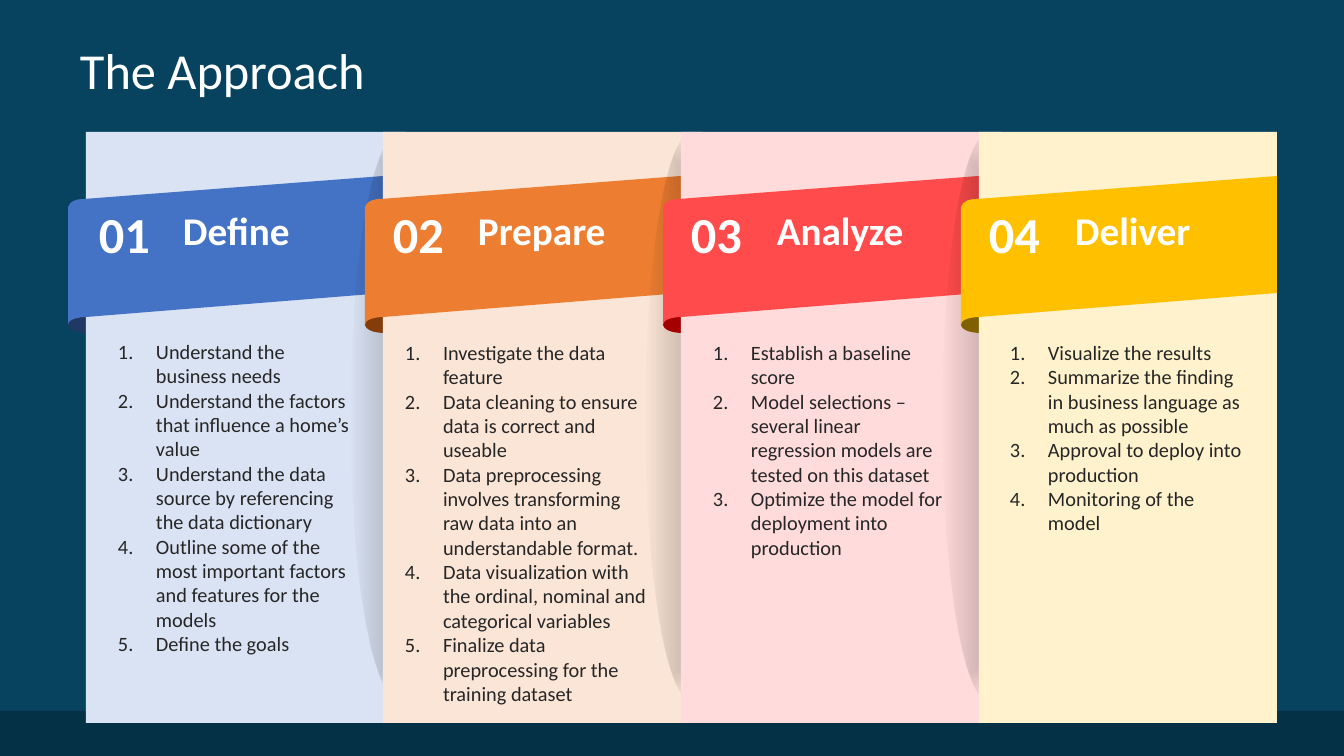
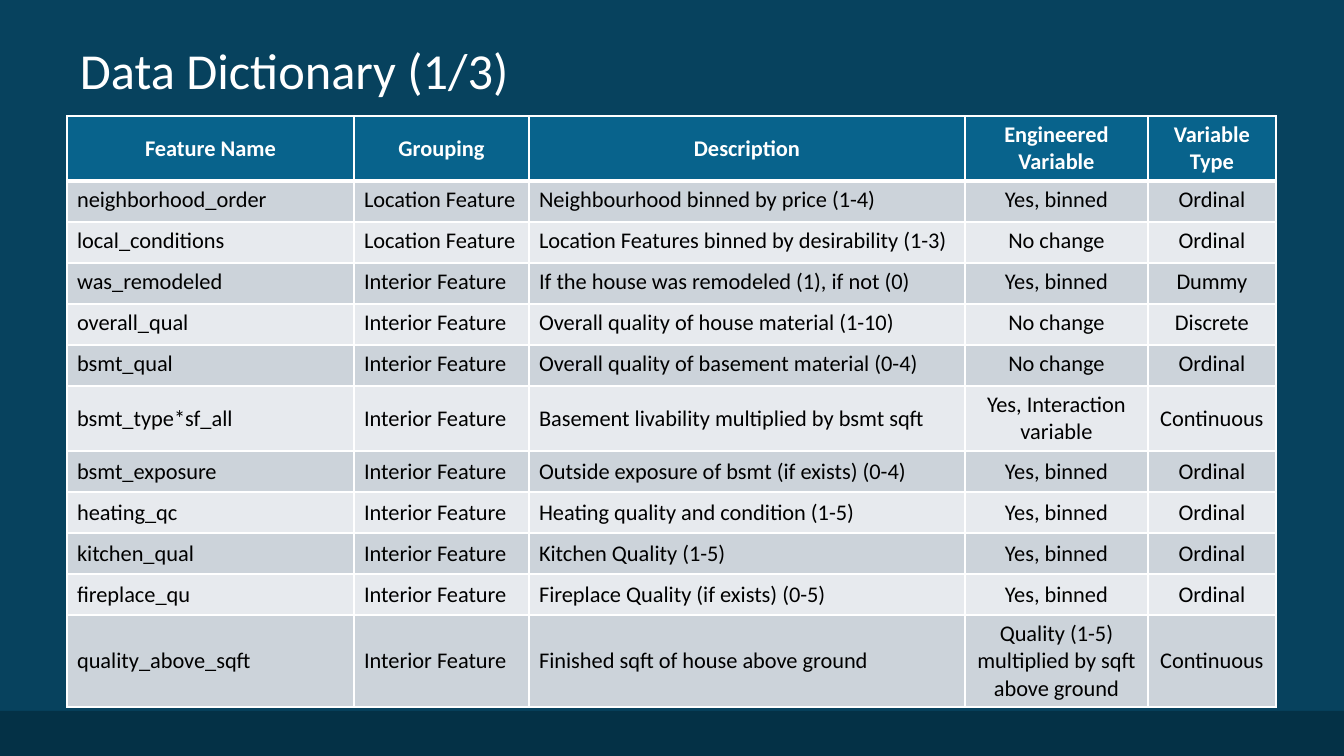
from itertools import islice

from pptx import Presentation
from pptx import oxml
from pptx import util as u
from pptx.dml.color import RGBColor
from pptx.enum import shapes, text
from pptx.oxml import ns

PX = 9072  # EMU in one px
FONT = "Calibri"
COLORS = {
    "background": "07425E", "band": "043146", "white": "FFFFFF", "body": "262626",
    "header": "08638C", "odd row": "CCD3DA", "even row": "E7EAEE", "cell text": "000000",
}


def paint(shape, color):
    shape.shadow.inherit = False
    shape.fill.solid()
    shape.fill.fore_color.rgb = RGBColor.from_string(color)
    shape.line.fill.background()


def add_text(slide, box, content, size, color="white", bold=False,
             align=text.PP_ALIGN.LEFT, margins=(0, 0)):
    text_frame = slide.shapes.add_textbox(*(n * PX for n in box)).text_frame
    text_frame.word_wrap = True
    text_frame.margin_left = text_frame.margin_right = margins[0] * PX
    text_frame.margin_top = text_frame.margin_bottom = margins[1] * PX
    text_frame.text = content
    for paragraph in text_frame.paragraphs:
        paragraph.alignment = align
        font = paragraph.runs[0].font
        font.name, font.size, font.bold = FONT, u.Pt(size), bold
        font.color.rgb = RGBColor.from_string(COLORS[color])
    return text_frame


presentation = Presentation()
presentation.slide_width = 1344 * PX
presentation.slide_height = 756 * PX

# Shared background, bottom band and title
slides = []
for title in ("The Approach", "Data Dictionary (1/3)"):
    slide = presentation.slides.add_slide(presentation.slide_layouts[6])
    slide.background.fill.solid()
    slide.background.fill.fore_color.rgb = RGBColor.from_string(COLORS["background"])
    band = slide.shapes.add_shape(shapes.MSO_SHAPE.RECTANGLE, 0, 711 * PX, 1344 * PX, 45 * PX)
    paint(band, COLORS["band"])
    title_frame = add_text(slide, (67, 30, 1210, 79), title, 36, margins=(13, 7))
    title_frame.vertical_anchor = text.MSO_ANCHOR.MIDDLE
    slides.append(slide)
approach_slide, dictionary_slide = slides

# Slide 1: four cards, each with a folded ribbon
# heading, card, ribbon and fold colours, lefts of number, heading and list, list width, steps
STAGES = [
    ("Define", "DAE3F3", "4472C4", "203864", 81, 183, 118, 232, [
        "Understand the business needs",
        "Understand the factors that influence a home’s value",
        "Understand the data source by referencing the data dictionary",
        "Outline some of the most important factors and features for the models",
        "Define the goals",
    ]),
    ("Prepare", "FBE5D6", "ED7D31", "843C0B", 375, 478, 405, 249, [
        "Investigate the data feature",
        "Data cleaning to ensure data is correct and useable",
        "Data preprocessing involves transforming raw data into an understandable format.",
        "Data visualization with the ordinal, nominal and categorical variables",
        "Finalize data preprocessing for the training dataset",
    ]),
    ("Analyze", "FFDBDB", "FF4B4B", "A50000", 673, 777, 713, 232, [
        "Establish a baseline score",
        "Model selections – several linear regression models are tested on this dataset",
        "Optimize the model for deployment into production",
    ]),
    ("Deliver", "FFF2CC", "FFC000", "806000", 971, 1075, 1010, 232, [
        "Visualize the results",
        "Summarize the finding in business language as much as possible",
        "Approval to deploy into production",
        "Monitoring of the model",
    ]),
]
SHADOW_FILL = (
    f'<a:gradFill {ns.nsdecls("a")} rotWithShape="1"><a:gsLst>'
    '<a:gs pos="0"><a:srgbClr val="000000"><a:alpha val="22000"/></a:srgbClr></a:gs>'
    '<a:gs pos="100000"><a:srgbClr val="000000"><a:alpha val="0"/></a:srgbClr></a:gs>'
    '</a:gsLst><a:path path="shape">'
    '<a:fillToRect l="50000" t="50000" r="50000" b="50000"/></a:path></a:gradFill>'
)

for index, stage in enumerate(STAGES):
    (heading, card_color, ribbon_color, fold_color,
     number_left, heading_left, list_left, list_width, steps) = stage
    is_last = index == len(STAGES) - 1
    card_left = 86 + 893 * index // 3
    ribbon_left = card_left - 18
    card_width, ribbon_width, ribbon_top = (298, 316, 176) if is_last else (320, 341, 174)

    # Outlines: a start, then corners (one point) and Bézier curves (three points)
    fold_pieces = [
        [(23, 333)],
        [(23, 333), (2, 334), (0, 325)],
        [(0, 325), (0, 320), (6, 313)],
        [(12, 308), (27, 310), (27, 310)],
    ]
    ribbon_pieces = [
        [(0, 208)],
        [(0, 208), (0, 199), (16, 199)],
        [(ribbon_width, ribbon_top)],
        [(ribbon_width, ribbon_top + 117)],
        [(18, 317)],
        [(18, 317), (0, 317), (0, 325)],
    ]
    builders = []
    for pieces in (fold_pieces, ribbon_pieces):
        points = [((ribbon_left + x) * PX, y * PX) for piece in pieces for x, y in piece]
        builder = approach_slide.shapes.build_freeform(*points[0], scale=1.0)
        builder.add_line_segments(points[1:], close=True)
        builders.append(builder)

    fold = builders[0].convert_to_shape()
    card = approach_slide.shapes.add_shape(
        shapes.MSO_SHAPE.RECTANGLE, card_left * PX, 132 * PX, card_width * PX, 591 * PX)
    ribbon = builders[1].convert_to_shape()
    for shape, color in ((fold, fold_color), (card, card_color), (ribbon, ribbon_color)):
        paint(shape, color)

    # Turn each run of three points into one curve
    for shape, pieces in ((fold, fold_pieces), (ribbon, ribbon_pieces)):
        outline = shape._element.find(".//" + ns.qn("a:path"))
        lines = iter(outline.findall(ns.qn("a:lnTo")))
        for piece in pieces[1:]:
            group = list(islice(lines, len(piece)))
            if len(group) == 3:
                curve = oxml.parse_xml(f'<a:cubicBezTo {ns.nsdecls("a")}/>')
                group[0].addprevious(curve)
                for line in group:
                    curve.append(line[0])
                    outline.remove(line)

    # Soft shadow cast by the next card
    if not is_last:
        shadow_left, shadow_top, shadow_height = (
            (116, 367, 99) if index == 0 else (111 + 297 * index, 370, 93))
        shadow = approach_slide.shapes.add_shape(
            shapes.MSO_SHAPE.OVAL, shadow_left * PX, shadow_top * PX, 569 * PX, shadow_height * PX)
        shadow.rotation = 90
        paint(shadow, "000000")
        properties = shadow._element.spPr
        properties.replace(properties.find(ns.qn("a:solidFill")), oxml.parse_xml(SHADOW_FILL))

    # Number, heading and numbered steps
    add_text(approach_slide, (number_left, 203, 87, 55), f"{index + 1:02}", 36,
             bold=True, align=text.PP_ALIGN.CENTER)
    add_text(approach_slide, (heading_left, 206, 157, 72), heading, 28, bold=True)
    list_top = 339 if index == 0 else 340
    list_frame = add_text(approach_slide, (list_left, list_top, list_width, 347),
                          "\n".join(steps), 14.5, "body")
    for paragraph in list_frame.paragraphs:
        properties = paragraph._p.get_or_add_pPr()
        properties.set("marL", str(38 * PX))
        properties.set("indent", str(-38 * PX))
        properties.append(oxml.parse_xml(f'<a:buFont {ns.nsdecls("a")} typeface="+mj-lt"/>'))
        properties.append(oxml.parse_xml(f'<a:buAutoNum {ns.nsdecls("a")} type="arabicPeriod"/>'))

# Slide 2: feature table
LOCATION, INTERIOR = "Location Feature", "Interior Feature"
BINNED, UNCHANGED = "Yes, binned", "No change"
FEATURES = [
    ("Feature Name", "Grouping", "Description", "Engineered Variable", "Variable Type"),
    ("neighborhood_order", LOCATION, "Neighbourhood binned by price (1-4)", BINNED, "Ordinal"),
    ("local_conditions", LOCATION, "Location Features binned by desirability (1-3)", UNCHANGED, "Ordinal"),
    ("was_remodeled", INTERIOR, "If the house was remodeled (1), if not (0)", BINNED, "Dummy"),
    ("overall_qual", INTERIOR, "Overall quality of house material (1-10)", UNCHANGED, "Discrete"),
    ("bsmt_qual", INTERIOR, "Overall quality of basement material (0-4)", UNCHANGED, "Ordinal"),
    ("bsmt_type*sf_all", INTERIOR, "Basement livability multiplied by bsmt sqft",
     "Yes, Interaction variable", "Continuous"),
    ("bsmt_exposure", INTERIOR, "Outside exposure of bsmt (if exists) (0-4)", BINNED, "Ordinal"),
    ("heating_qc", INTERIOR, "Heating quality and condition (1-5)", BINNED, "Ordinal"),
    ("kitchen_qual", INTERIOR, "Kitchen Quality (1-5)", BINNED, "Ordinal"),
    ("fireplace_qu", INTERIOR, "Fireplace Quality (if exists) (0-5)", BINNED, "Ordinal"),
    ("quality_above_sqft", INTERIOR, "Finished sqft of house above ground",
     "Quality (1-5) multiplied by sqft above ground", "Continuous"),
]
COLUMN_WIDTHS = [287, 175, 436, 183, 128]
ROW_HEIGHTS = [65] + [41] * 5 + [65] + [41] * 4 + [92]

table = dictionary_slide.shapes.add_table(
    len(FEATURES), len(COLUMN_WIDTHS), 67 * PX, 116 * PX,
    sum(COLUMN_WIDTHS) * PX, sum(ROW_HEIGHTS) * PX).table
for column, width in zip(table.columns, COLUMN_WIDTHS):
    column.width = width * PX
for row, height in zip(table.rows, ROW_HEIGHTS):
    row.height = height * PX

for row_index, values in enumerate(FEATURES):
    is_header = row_index == 0
    row_fill = "header" if is_header else "odd row" if row_index % 2 else "even row"
    borders = {"lnL": 1, "lnR": 1, "lnT": 3 if row_index == 1 else 1, "lnB": 3 if is_header else 1}
    for column_index, value in enumerate(values):
        cell = table.cell(row_index, column_index)
        cell.text_frame.text = value
        cell.vertical_anchor = text.MSO_ANCHOR.TOP if 1 <= row_index <= 5 else text.MSO_ANCHOR.MIDDLE
        paragraph = cell.text_frame.paragraphs[0]
        centered = is_header or column_index >= 3
        paragraph.alignment = text.PP_ALIGN.CENTER if centered else text.PP_ALIGN.LEFT
        font = paragraph.runs[0].font
        font.name, font.size, font.bold = FONT, u.Pt(16), is_header
        font.color.rgb = RGBColor.from_string(COLORS["white" if is_header else "cell text"])
        # Borders come before the fill in the cell properties
        for side, points in borders.items():
            cell._tc.get_or_add_tcPr().append(oxml.parse_xml(
                f'<a:{side} {ns.nsdecls("a")} w="{u.Pt(points)}"><a:solidFill>'
                f'<a:srgbClr val="{COLORS["white"]}"/></a:solidFill></a:{side}>'))
        cell.fill.solid()
        cell.fill.fore_color.rgb = RGBColor.from_string(COLORS[row_fill])

presentation.save("out.pptx")
